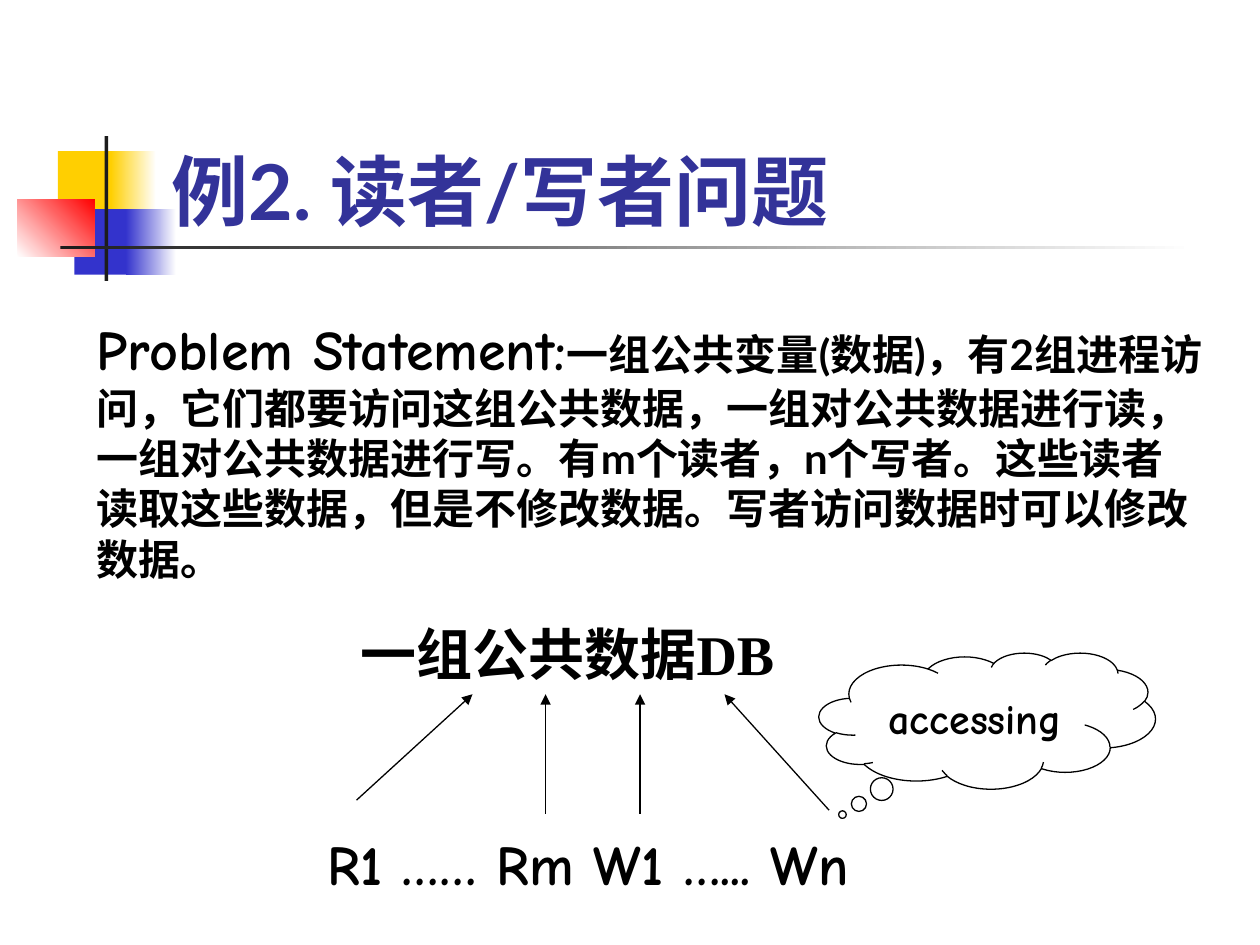
from lxml import etree
from pptx import Presentation
from pptx.dml.color import RGBColor
from pptx.enum.shapes import MSO_CONNECTOR, MSO_SHAPE
from pptx.enum.text import MSO_ANCHOR, PP_ALIGN
from pptx.oxml.ns import qn
from pptx.util import Inches, Pt

RECT, CLOUD = MSO_SHAPE.RECTANGLE, MSO_SHAPE.CLOUD_CALLOUT
STRAIGHT = MSO_CONNECTOR.STRAIGHT
TOP, MIDDLE, BOTTOM = MSO_ANCHOR.TOP, MSO_ANCHOR.MIDDLE, MSO_ANCHOR.BOTTOM
LEFT, CENTER = PP_ALIGN.LEFT, PP_ALIGN.CENTER

COLORS = {"yellow": "FFCF01", "blue": "3333CC", "red": "FF0000", "dark": "1C1C1C",
          "white": "FFFFFF", "black": "000000", "title": "333399"}
COMIC, LATO, TIMES = "Comic Neue", "Lato", "Times New Roman"

# Content: runs are (text, font, size)
TITLE = [("例2. 读者/写者问题", LATO, 44)]
STATEMENT = [
    ("Problem Statement:", COMIC, 32),
    ("一组公共变量(数据)，有2组进程访问，它们都要访问这组公共数据，一组对公共数据进行读，"
     "一组对公共数据进行写。有m个读者，n个写者。这些读者读取这些数据，但是不修改数据。"
     "写者访问数据时可以修改数据。", LATO, 24),
]
DATABASE = [("一组公共数据DB", TIMES, 32)]
PROCESSES = [("R1 …… Rm W1 …... Wn", COMIC, 32)]
THOUGHT = [("accessing", COMIC, 24)]

# Decoration: (left, top, width, height), colours, gradient angle
DECORATION = [
    ((0.46, 1.2, 0.48, 0.52), ["yellow"], None),
    ((0.88, 1.2, 0.36, 0.52), ["yellow", "white"], 0),
    ((0.59, 1.66, 0.46, 0.52), ["blue"], None),
    ((1, 1.66, 0.4, 0.52), ["blue", "white"], 0),
    ((0.14, 1.58, 0.61, 0.46), ["white", "red"], 45),
    ((0.83, 1.08, 0.03, 1.15), ["dark"], None),
    ((0.48, 1.95, 9, 0.03), ["dark", "white"], 0),
]

# Arrows from each process (x, y) to the x below the database
ARROW_TIP_Y = 5.51
ARROWS = [((2.83, 6.35), 3.75), ((4.33, 6.46), 4.33),
          ((5.08, 6.46), 5.08), ((6.58, 6.43), 5.75)]


def rgb(name):
    return RGBColor.from_string(COLORS[name])


def inches(values):
    return [Inches(value) for value in values]


def write(frame, runs, color="black", anchor=TOP, align=LEFT, wrap=True):
    frame.word_wrap = wrap
    frame.vertical_anchor = anchor
    paragraph = frame.paragraphs[0]
    paragraph.alignment = align
    for text, font, size in runs:
        run = paragraph.add_run()
        run.text = text
        run.font.name, run.font.size, run.font.bold = font, Pt(size), True
        run.font.color.rgb = rgb(color)


def add_block(slide, box, colors, angle):
    block = slide.shapes.add_shape(RECT, *inches(box))
    block.shadow.inherit = False
    block.line.fill.background()
    if angle is None:
        block.fill.solid()
        block.fill.fore_color.rgb = rgb(colors[0])
        return
    block.fill.gradient()
    block.fill.gradient_angle = angle
    for stop, color in zip(block.fill.gradient_stops, colors):
        stop.color.rgb = rgb(color)


def add_arrow(slide, start, end):
    arrow = slide.shapes.add_connector(STRAIGHT, *inches(start + end))
    arrow.line.color.rgb = rgb("black")
    arrow.line.width = Pt(0.75)
    etree.SubElement(arrow.line._get_or_add_ln(), qn("a:tailEnd"), type="triangle")
    etree.SubElement(arrow._element.spPr, qn("a:effectLst"))


def add_text(slide, box, runs, **layout):
    write(slide.shapes.add_textbox(*inches(box)).text_frame, runs, **layout)


def main():
    prs = Presentation()
    prs.slide_width, prs.slide_height = inches((10, 7.5))
    slide = prs.slides.add_slide(prs.slide_layouts[5])

    for box, colors, angle in DECORATION:
        add_block(slide, box, colors, angle)

    # Title
    title = slide.shapes.title
    title.left, title.top, title.width, title.height = inches((1.26, 0.67, 8.52, 1.25))
    write(title.text_frame, TITLE, color="title", anchor=BOTTOM)

    # Problem statement
    add_text(slide, (0.67, 2.45, 8.98, 2.24), STATEMENT)

    # Database, processes and the arrows between them
    add_text(slide, (2.76, 4.83, 4, 0.7), DATABASE, anchor=MIDDLE)
    add_text(slide, (2.5, 6.5, 5, 0.7), PROCESSES, anchor=MIDDLE)
    for start, tip_x in ARROWS:
        add_arrow(slide, start, (tip_x, ARROW_TIP_Y))

    # Thought cloud
    cloud = slide.shapes.add_shape(CLOUD, *inches((6.5, 5.18, 2.67, 1.08)))
    cloud.adjustments[0], cloud.adjustments[1] = -0.43, 0.69
    cloud.shadow.inherit = False
    cloud.fill.background()
    cloud.line.color.rgb = rgb("black")
    cloud.line.width = Pt(0.75)
    write(cloud.text_frame, THOUGHT, anchor=MIDDLE, align=CENTER, wrap=False)

    prs.save("out.pptx")


if __name__ == "__main__":
    main()
